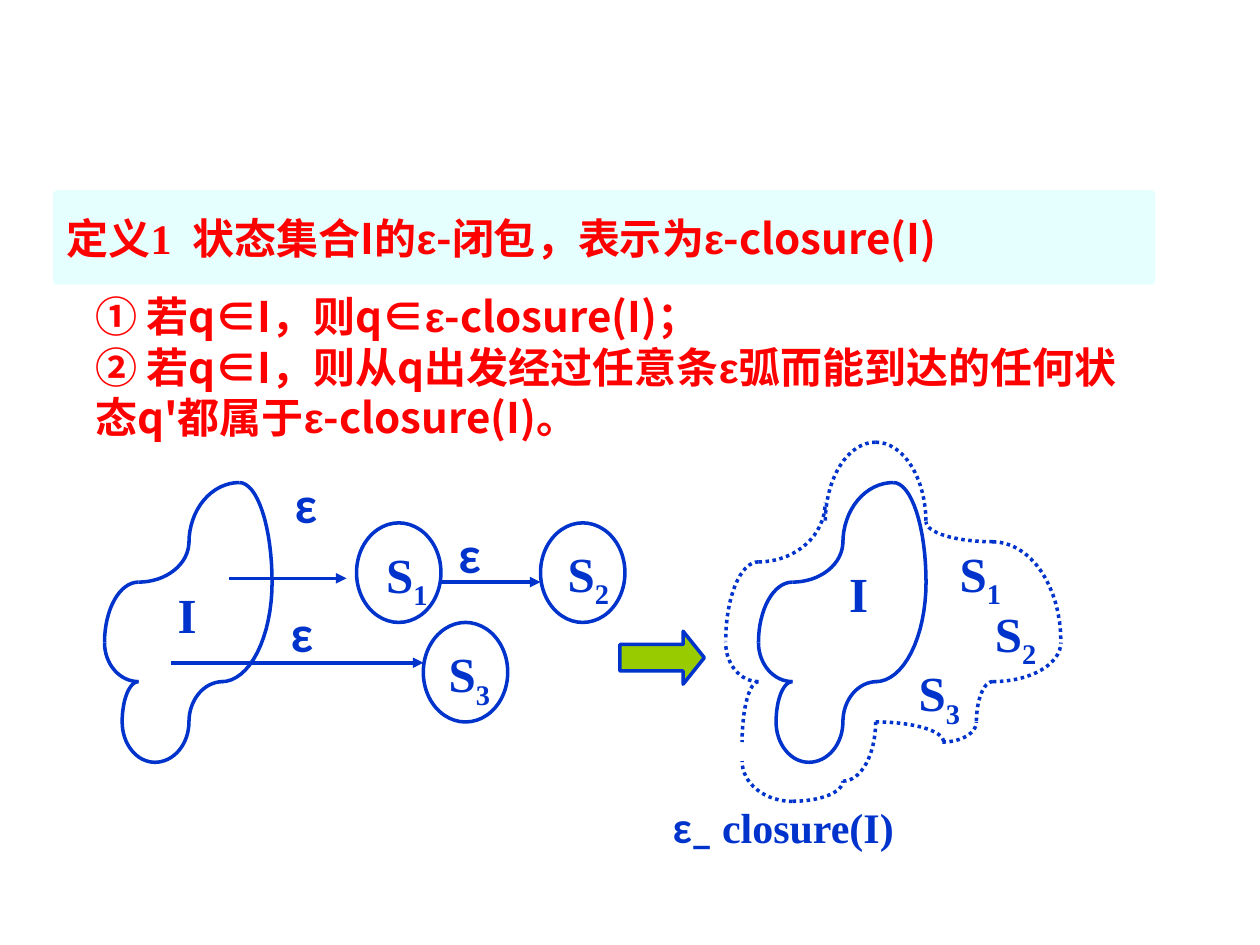
import math
import pptx
import pptx.util
import pptx.dml.color
import pptx.enum.dml
import pptx.enum.shapes
import pptx.enum.text
import pptx.oxml
import pptx.oxml.ns

PX = 9144
COLORS = {"red": "FF0000", "blue": "0033CC", "band": "CCFFFF", "arrow": "99CC00"}
RGB = {name: pptx.dml.color.RGBColor.from_string(code) for name, code in COLORS.items()}
SHAPE = pptx.enum.shapes.MSO_SHAPE
ALIGN = pptx.enum.text.PP_ALIGN
CJK, GREEK, SERIF, LABEL = "Noto Sans CJK SC", "Arial", "Times New Roman", "Lato"


def write(para, size, color, pieces):
    para.font.size = pptx.util.Pt(size)
    para.font.bold = True
    para.font.color.rgb = RGB[color]
    for text, font in pieces:
        span = para.add_run()
        span.text = text
        span.font.name = font
        east = pptx.oxml.parse_xml(f'<a:ea {pptx.oxml.ns.nsdecls("a")} typeface="{CJK}"/>')
        span.font._element.append(east)


def outline(item):
    item.line.color.rgb = RGB["blue"]
    item.line.width = pptx.util.Pt(2)


deck = pptx.Presentation()
deck.slide_width, deck.slide_height = 1000 * PX, 750 * PX
page = deck.slides.add_slide(deck.slide_layouts[6])

heading = [("定义1  ", SERIF), ("状态集合I的", CJK), ("ε", GREEK),
           ("-闭包，表示为", CJK), ("ε", GREEK), ("-closure(I)", CJK)]
rules = [
    [("① 若q∈I，则q∈", CJK), ("ε", GREEK), ("-closure(I)；", CJK)],
    [("② 若q∈I，则从q出发经过任意条", CJK), ("ε", GREEK),
     ("弧而能到达的任何状态q'都属于", CJK), ("ε", GREEK), ("-closure(I)。", CJK)],
]
panels = [
    (42, 151, 875, 75, 0.05, "band", pptx.enum.text.MSO_ANCHOR.MIDDLE, [heading]),
    (58, 218, 867, 158, 0.17, None, pptx.enum.text.MSO_ANCHOR.TOP, rules),
]
for left, top, width, height, corner, fill, anchor, paragraphs in panels:
    panel = page.shapes.add_shape(SHAPE.ROUNDED_RECTANGLE, left * PX, top * PX, width * PX, height * PX)
    panel.adjustments[0] = corner
    panel.shadow.inherit = False
    panel.line.fill.background()
    if fill:
        panel.fill.solid()
        panel.fill.fore_color.rgb = RGB[fill]
        tint = panel.fill._xPr.find(".//" + pptx.oxml.ns.qn("a:srgbClr"))
        tint.append(pptx.oxml.parse_xml(f'<a:alpha {pptx.oxml.ns.nsdecls("a")} val="50000"/>'))
    else:
        panel.fill.background()
    frame = panel.text_frame
    frame.word_wrap = fill is None
    frame.vertical_anchor = anchor
    for index, pieces in enumerate(paragraphs):
        para = frame.add_paragraph() if index else frame.paragraphs[0]
        para.alignment = ALIGN.LEFT
        write(para, 24, "red", pieces)

figure = page.shapes.add_group_shape().shapes

set_arcs = [
    (176, 541, 216, 462), (177, 541, 150, 573), (190, 383, 216, 462), (123, 605, 97, 573),
    (123, 605, 150, 573), (190, 383, 150, 431), (110, 462, 150, 430), (110, 462, 83, 510),
    (110, 541, 83, 510), (110, 541, 97, 573),
]
closure_arcs = [
    (695, 351, 655, 415), (695, 351, 735, 415), (788, 430, 842, 509), (788, 541, 842, 510),
    (788, 430, 735, 414), (788, 541, 775, 573), (748, 589, 775, 573), (695, 573, 749, 589),
    (602, 446, 655, 399), (602, 446, 576, 509), (602, 541, 576, 510), (602, 541, 589, 589),
    (629, 636, 589, 604), (669, 620, 695, 573), (629, 636, 669, 620),
]
STEPS = 16
for arcs, shift, dotted in [(set_arcs, 0, False), (set_arcs, 519, False), (closure_arcs, 0, True)]:
    for flat_x, flat_y, steep_x, steep_y in arcs:
        points = []
        for step in range(STEPS + 1):
            angle = math.pi / 2 * step / STEPS
            x = flat_x + shift + (steep_x - flat_x) * math.sin(angle)
            y = steep_y + (flat_y - steep_y) * math.cos(angle)
            points.append((x * PX, y * PX))
        builder = figure.build_freeform(*points[0])
        builder.add_line_segments(points[1:], close=False)
        curve = builder.convert_to_shape()
        curve.shadow.inherit = False
        curve.fill.background()
        outline(curve)
        if dotted:
            curve.line.dash_style = pptx.enum.dml.MSO_LINE.ROUND_DOT

for start, end, y in [(182, 275, 459), (349, 429, 462), (136, 336, 526)]:
    edge = figure.add_connector(pptx.enum.shapes.MSO_CONNECTOR.STRAIGHT, start * PX, y * PX, end * PX, y * PX)
    outline(edge)
    edge.line._get_or_add_ln().append(
        pptx.oxml.parse_xml(f'<a:tailEnd {pptx.oxml.ns.nsdecls("a")} type="triangle"/>'))
    edge._element.spPr.append(pptx.oxml.parse_xml(f'<a:effectLst {pptx.oxml.ns.nsdecls("a")}/>'))

for left, top in [(283, 415), (429, 415), (336, 494)]:
    state = figure.add_shape(SHAPE.OVAL, left * PX, top * PX, 67 * PX, 79 * PX)
    state.shadow.inherit = False
    state.fill.background()
    outline(state)

arrow = figure.add_shape(SHAPE.RIGHT_ARROW, 492 * PX, 501 * PX, 67 * PX, 42 * PX)
arrow.adjustments[0], arrow.adjustments[1] = 0.5, 0.4
arrow.shadow.inherit = False
arrow.fill.solid()
arrow.fill.fore_color.rgb = RGB["arrow"]
outline(arrow)

labels = [
    (533, 635, 237, 63, 24, ALIGN.JUSTIFY, [("ε_", LABEL), (" closure(I)", SERIF)]),
]
for left, top in [(363, 415), (233, 376), (230, 478)]:
    labels.append((left, top, 40, 63, 28, ALIGN.JUSTIFY, [("ε", LABEL)]))
for left, top in [(655, 446), (122, 463)]:
    labels.append((left, top, 53, 63, 28, ALIGN.CENTER, [("I", SERIF)]))
for left, top, width, number in [(430, 430, 74, "2"), (775, 478, 62, "2"), (748, 430, 60, "1"),
                                 (288, 431, 70, "1"), (339, 510, 67, "3"), (717, 525, 57, "3")]:
    labels.append((left, top, width, 48, 28, ALIGN.CENTER, [("S", SERIF), (number, SERIF)]))

for left, top, width, height, size, align, pieces in labels:
    box = figure.add_textbox(left * PX, top * PX, width * PX, height * PX)
    frame = box.text_frame
    frame.word_wrap = True
    frame.margin_left = frame.margin_right = frame.margin_top = frame.margin_bottom = PX
    para = frame.paragraphs[0]
    para.alignment = align
    write(para, size, "blue", pieces)
    if pieces[0][0] == "S":
        para.runs[1].font._element.set("baseline", "-25000")

deck.save("out.pptx")
